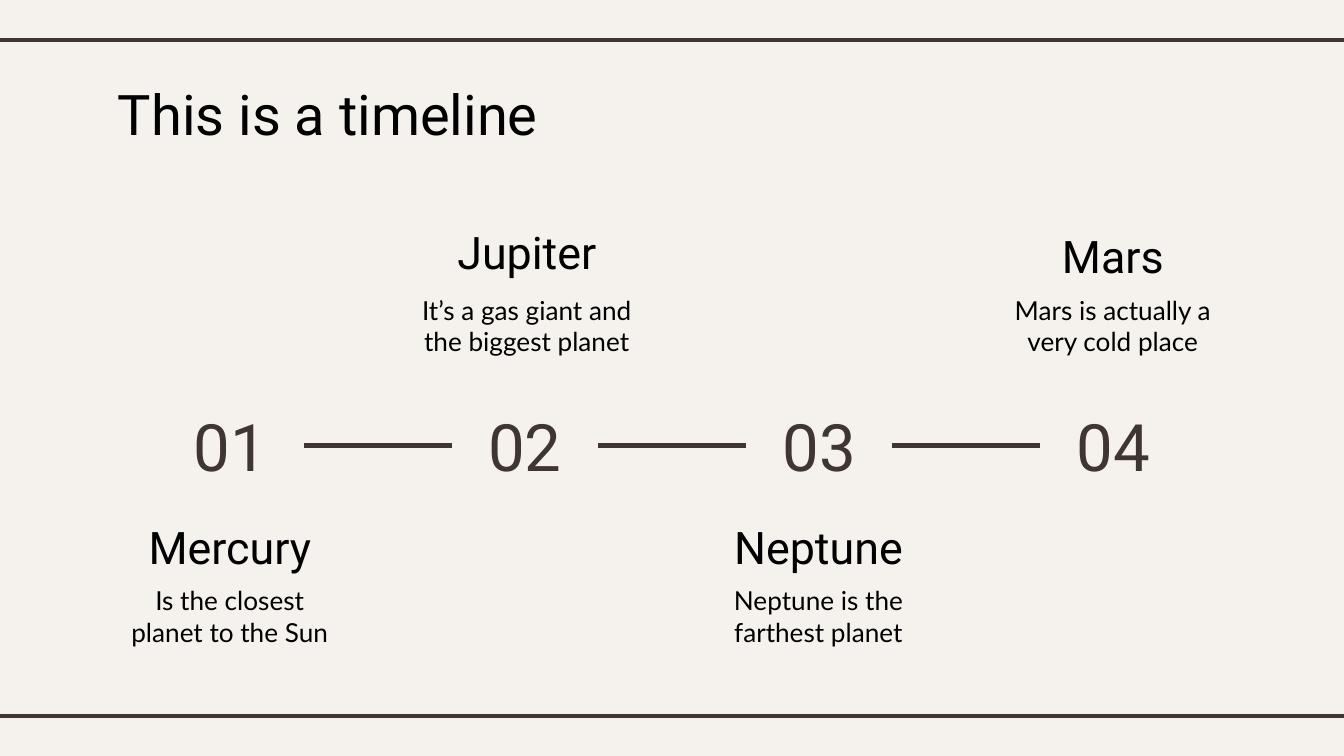
"""Build a four-step planet timeline slide."""
from lxml import etree
from pptx import Presentation
from pptx import util as u
from pptx.dml.color import RGBColor
from pptx.enum import shapes, text
from pptx.oxml.ns import qn

WIDTH = 10
HEIGHT = WIDTH * 9 / 16
PAPER, INK, BLACK = "F5F2EE", "3F3533", "000000"
TITLE = "This is a timeline"
STEPS = [
    {"name": "Mercury", "fact": "Is the closest planet to the Sun", "left": 0.77, "top": 3.87},
    {"name": "Jupiter", "fact": "It’s a gas giant and the biggest planet", "left": 2.98, "top": 1.68},
    {"name": "Neptune", "fact": "Neptune is the farthest planet", "left": 5.15, "top": 3.87},
    {"name": "Mars", "fact": "Mars is actually a very cold place", "left": 7.34, "top": 1.71},
]
FACT_ABOVE, FACT_BELOW = 2.09, 4.25
RULES = (0.3, 5.33)
PITCH = 2.19
NUMBER_LEFT, NUMBER_TOP, NUMBER_WIDTH, NUMBER_HEIGHT = 1.17, 2.95, 1.09, 0.73
LABEL_WIDTH, NAME_HEIGHT, FACT_HEIGHT = 1.88, 0.39, 0.63


def rgb(value):
    return RGBColor.from_string(value)


def add_text(slide, box, words, size, font="Roboto", color=BLACK, centred=True, middle=True):
    shape = slide.shapes.add_textbox(*map(u.Inches, box))
    frame = shape.text_frame
    frame.word_wrap = True
    frame.margin_left = frame.margin_right = u.Inches(0.1)
    frame.margin_top = frame.margin_bottom = u.Inches(0.1)
    frame.vertical_anchor = text.MSO_ANCHOR.MIDDLE if middle else text.MSO_ANCHOR.TOP
    paragraph = frame.paragraphs[0]
    paragraph.alignment = text.PP_ALIGN.CENTER if centred else text.PP_ALIGN.LEFT
    run = paragraph.add_run()
    run.text = words
    run.font.size = u.Pt(size)
    run.font.name = font
    run.font.color.rgb = rgb(color)
    return shape


def add_line(slide, left=0, right=0, top=0):
    line = slide.shapes.add_connector(
        shapes.MSO_CONNECTOR.STRAIGHT, *map(u.Inches, (left, top, right, top)))
    line.line.color.rgb = rgb(INK)
    line.line.width = u.Pt(2.25)
    etree.SubElement(line._element.spPr, qn("a:effectLst"))
    return line


def main():
    presentation = Presentation()
    presentation.slide_width = u.Inches(WIDTH)
    presentation.slide_height = u.Inches(HEIGHT)
    slide = presentation.slides.add_slide(presentation.slide_layouts[6])
    slide.background.fill.solid()
    slide.background.fill.fore_color.rgb = rgb(PAPER)

    for top in RULES:
        add_line(slide, -0.08, WIDTH + 0.08, top)
    add_text(slide, (0.78, 0.49, 8.44, 0.63), TITLE, 30, centred=False, middle=False)

    numbers = []
    for index, step in enumerate(STEPS):
        left, top = step["left"], step["top"]
        fact_top = FACT_ABOVE if top < NUMBER_TOP else FACT_BELOW
        add_text(slide, (left, top, LABEL_WIDTH, NAME_HEIGHT), step["name"], 24)
        add_text(slide, (left, fact_top, LABEL_WIDTH, FACT_HEIGHT), step["fact"], 14,
                 font="Lato", middle=False)
        box = (NUMBER_LEFT + index * PITCH, NUMBER_TOP, NUMBER_WIDTH, NUMBER_HEIGHT)
        numbers.append(add_text(slide, box, f"{index + 1:02}", 35, color=INK))

    for before, after in zip(numbers, numbers[1:]):
        line = add_line(slide)
        line.begin_connect(before, 3)
        line.end_connect(after, 1)

    presentation.save("out.pptx")


if __name__ == "__main__":
    main()
